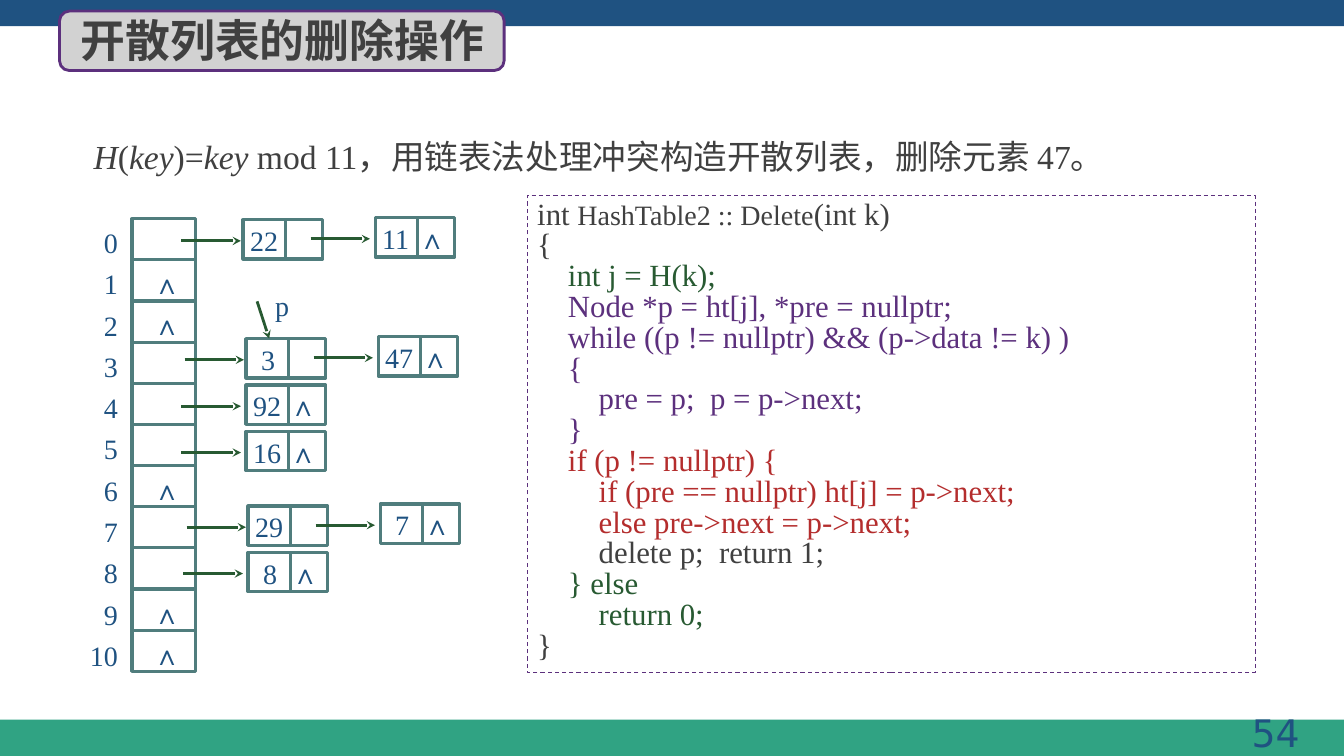
import pptx
import pptx.util
import pptx.dml.color
import pptx.enum.dml
import pptx.enum.shapes
import pptx.enum.text
import pptx.oxml

Inches = pptx.util.Inches
Pt = pptx.util.Pt
SHAPE = pptx.enum.shapes.MSO_SHAPE
ALIGN = pptx.enum.text.PP_ALIGN
ANCHOR = pptx.enum.text.MSO_ANCHOR
NS = 'xmlns:a="http://schemas.openxmlformats.org/drawingml/2006/main"'
SERIF, HAN = "Times New Roman", "Noto Sans CJK SC"
COLORS = {
    "navy": "1F5281", "teal": "30A383", "grey": "D2D2D2", "ink": "404040",
    "purple": "5C307D", "slate": "507D7D", "green": "285A32", "red": "B42D2D",
}
# Each code line is a list of runs: text, then overrides
CODE = [
    [("int ", {}), ("HashTable2 :: Delete", {"size": 20}), ("(int k)", {})],
    [("{", {})],
    [("    int j = H(k);", {"color": "green"})],
    [("    Node *p = ht[j], *pre = nullptr;", {"color": "purple"})],
    [("    while ((p != nullptr) && (p->data != k) )", {"color": "purple"})],
    [("    {", {"color": "purple"})],
    [("        pre = p;  p = p->next;", {"color": "purple"})],
    [("    }", {"color": "purple"})],
    [("    if (p != nullptr) {", {"color": "red"})],
    [("        if (pre == nullptr) ht[j] = p->next;", {"color": "red"})],
    [("        else pre->next = p->next;", {"color": "red"})],
    [("        delete p;  return 1;", {})],
    [("    } else", {"color": "green"})],
    [("        return 0;", {"color": "green"})],
    [("}", {})],
]
# Offsets from the table's corner, then the keys of the chain
CHAINS = [
    (1.1, 0.01, ["22", "11"]), (1.13, 1.19, ["3", "47"]), (1.13, 1.65, ["92"]),
    (1.13, 2.11, ["16"]), (1.15, 2.85, ["29", "7"]), (1.15, 3.31, ["8"]),
]
EMPTY = [1, 2, 6, 9, 10]
ROWS = 11


def tint(name):
    return pptx.dml.color.RGBColor.from_string(COLORS[name])


def style(run, size, color, font=SERIF, han=None, bold=False, italic=False):
    face = run.font
    face.size, face.name, face.bold, face.italic = Pt(size), font, bold, italic
    face.color.rgb = tint(color)
    if han:
        run._r.get_or_add_rPr().append(
            pptx.oxml.parse_xml(f'<a:ea {NS} typeface="{han}"/>'))


def write(shape, lines, inset=(0.1, 0.05, 0.1, 0.05), align=ALIGN.LEFT,
          anchor=ANCHOR.TOP, space=None, tab=None, wrap=True, **form):
    """Fill a shape with lines, each a string or a list of runs."""
    frame = shape.text_frame
    frame.word_wrap = wrap
    frame.auto_size = pptx.enum.text.MSO_AUTO_SIZE.NONE
    frame.vertical_anchor = anchor
    (frame.margin_left, frame.margin_top,
     frame.margin_right, frame.margin_bottom) = map(Inches, inset)
    for i, line in enumerate(lines):
        para = frame.add_paragraph() if i else frame.paragraphs[0]
        para.alignment = align
        if space:
            para.line_spacing = Pt(space)
        if tab:
            para._p.get_or_add_pPr().append(pptx.oxml.parse_xml(
                f'<a:tabLst {NS}><a:tab pos="{Inches(tab)}" algn="l"/></a:tabLst>'))
        for text, extra in [(line, {})] if isinstance(line, str) else line:
            run = para.add_run()
            run.text = text
            style(run, **{**form, **extra})


def label(slide, box, lines, **form):
    write(slide.shapes.add_textbox(*map(Inches, box)), lines, **form)


def block(slide, box, fill=None, line=None, width=2.25, kind=SHAPE.RECTANGLE):
    shape = slide.shapes.add_shape(kind, *map(Inches, box))
    shape.shadow.inherit = False
    if fill:
        shape.fill.solid()
        shape.fill.fore_color.rgb = tint(fill)
    else:
        shape.fill.background()
    if line:
        shape.line.color.rgb = tint(line)
        shape.line.width = Pt(width)
    else:
        shape.line.fill.background()
    return shape


def rule(slide, x, y, to_x, to_y, arrow=False):
    line = slide.shapes.add_connector(
        pptx.enum.shapes.MSO_CONNECTOR.STRAIGHT, *map(Inches, (x, y, to_x, to_y)))
    line.line.color.rgb = tint("green" if arrow else "slate")
    line.line.width = Pt(2 if arrow else 2.25)
    if arrow:
        line.line._get_or_add_ln().append(
            pptx.oxml.parse_xml(f'<a:tailEnd {NS} type="stealth"/>'))
    line._element.spPr.append(pptx.oxml.parse_xml(f'<a:effectLst {NS}/>'))


def frame_page(slide, w, h):
    # Top and bottom bands with the page number
    block(slide, (0, h - 0.36, w, 0.36), fill="teal")
    block(slide, (0, 0, w, 0.26), fill="navy")
    label(slide, (w - 3.28, h - 0.51, 2.94, 0.56), ["54"], size=27, color="navy",
          font="DejaVu Sans", align=ALIGN.RIGHT, anchor=ANCHOR.MIDDLE)


def head(slide, x, y, w, h):
    # Title on its rounded plate
    block(slide, (x, y, w, h), "grey", "purple", 2, SHAPE.ROUNDED_RECTANGLE)
    title = slide.shapes.title
    title.left, title.top, title.width, title.height = map(
        Inches, (x + 0.11, y - 0.04, w + 0.12, h + 0.05))
    slide.shapes._spTree.append(title._element)
    write(title, ["开散列表的删除操作"], size=32, color="ink", font=HAN, han=HAN,
          bold=True, anchor=ANCHOR.MIDDLE)


def task(slide, *box):
    # Hash rule and the job to do
    slant = {"italic": True}
    label(slide, box, [[
        ("H", slant), ("(", {}), ("key", slant), (")=", {}), ("key", slant),
        (" mod 11，用链表法处理冲突构造开散列表，删除元素 47。", {}),
    ]], size=24, color="ink", han=HAN, space=35)


def node(slide, x, y, key, last):
    # One list cell: key on the left, link on the right
    pad = 0.07 if len(key) > 1 else 0.15
    cell = block(slide, (x, y, 0.79, 0.39), line="slate")
    write(cell, [key + "\t∧" if last else key], inset=(pad, 0.02, 0, 0), size=20,
          color="navy", anchor=ANCHOR.MIDDLE, tab=0.43 - pad)
    rule(slide, x + 0.42, y, x + 0.42, y + 0.39)
    tip = x - (0.05 if last else 0.02)
    rule(slide, tip - 0.59, y + 0.21, tip, y + 0.21, arrow=True)


def table(slide, x, y, w, h):
    # Bucket column with its row numbers
    step = h / ROWS
    label(slide, (x - 0.53, y - 0.01, 0.39, h), [str(i) for i in range(ROWS)],
          inset=(0, 0, 0, 0), size=20, color="navy", align=ALIGN.RIGHT, space=29.5)
    block(slide, (x, y, w, h), line="slate")
    for i in range(1, ROWS):
        rule(slide, x, y + i * step, x + w, y + i * step)
    for i in EMPTY:
        label(slide, (x + 0.11, y + i * step + 0.02, 0.48, 0.43), ["∧"],
              size=20, color="navy", wrap=False)
    # Chains
    for dx, dy, keys in CHAINS:
        for i, key in enumerate(keys):
            node(slide, x + dx + 1.31 * i, y + dy - 0.02 * i, key,
                 i == len(keys) - 1)
    # Pointer p
    rule(slide, x + 1.24, y + 0.82, x + 1.36, y + 1.19, arrow=True)
    label(slide, (x + 1.27, y + 0.67, 0.5, 0.42), ["p"],
          inset=(0.15, 0.02, 0, 0), size=20, color="navy")


def code(slide, *box):
    # Dashed code panel
    panel = block(slide, box, line="purple", width=0.75)
    panel.line.dash_style = pptx.enum.dml.MSO_LINE.DASH
    write(panel, CODE, size=22, color="ink", space=22)


def main():
    deck = pptx.Presentation()
    deck.slide_width, deck.slide_height = Inches(13.33), Inches(7.5)
    slide = deck.slides.add_slide(deck.slide_layouts[5])
    frame_page(slide, 13.33, 7.5)
    head(slide, 0.59, 0.11, 4.41, 0.59)
    table(slide, 1.31, 2.17, 0.63, 4.49)
    code(slide, 5.23, 1.94, 7.22, 4.73)
    task(slide, 0.83, 1.21, 11.86, 0.59)
    deck.save("out.pptx")


if __name__ == "__main__":
    main()
